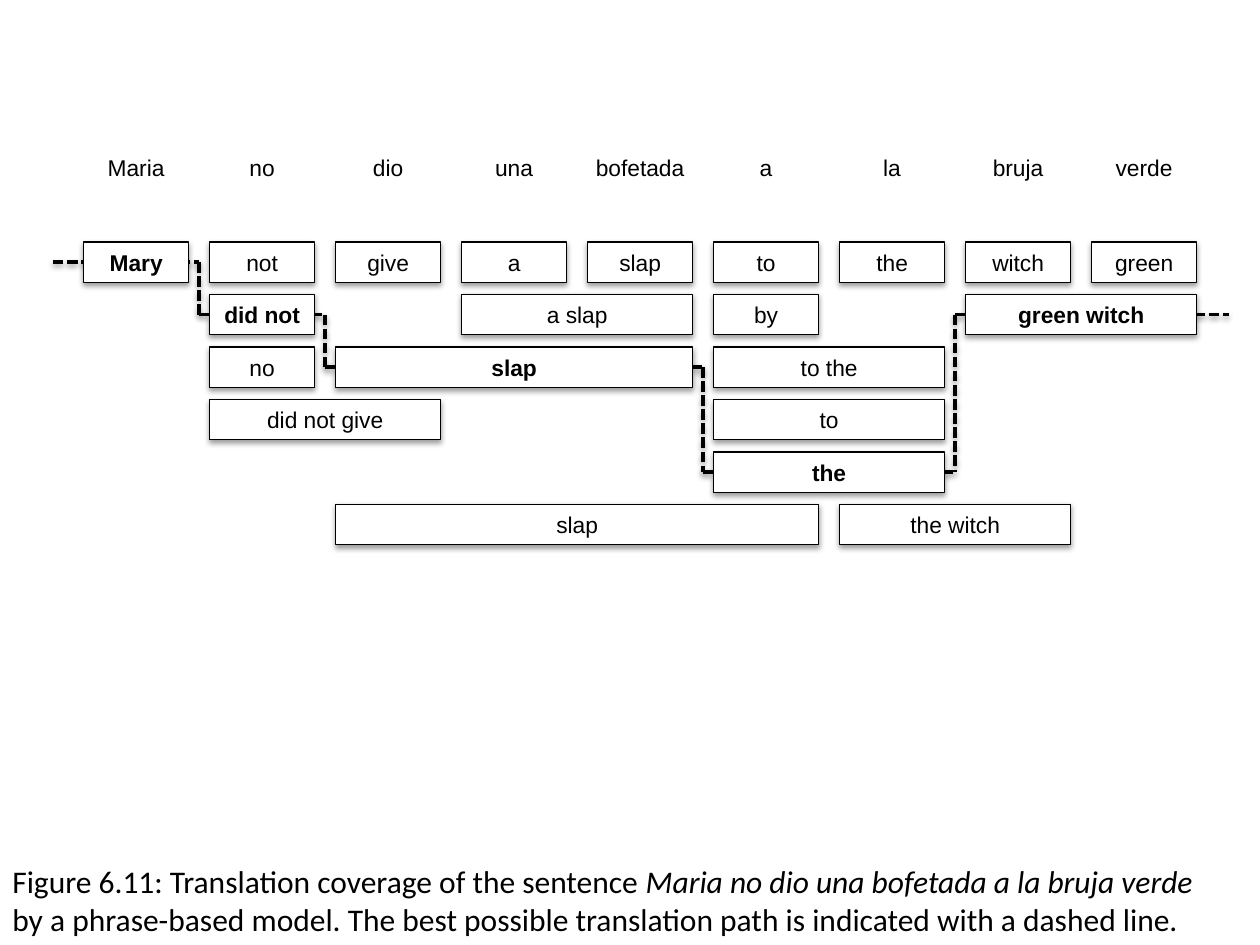
import itertools
from dataclasses import dataclass

import pptx
import pptx.dml.color
import pptx.enum.dml
import pptx.enum.shapes
import pptx.enum.text
import pptx.oxml
import pptx.oxml.ns
import pptx.util


@dataclass(frozen=True)
class Theme:
    ink: str = "000000"
    paper: str = "FFFFFF"
    word_font: str = "Arial"
    caption_font: str = "Calibri"
    word_size: float = 13
    caption_size: float = 18
    border: float = 0.75
    path_width: float = 2


SHADOW = (
    f'<a:effectLst {pptx.oxml.ns.nsdecls("a")}>'
    '<a:outerShdw blurRad="40000" dist="20000" dir="5400000" rotWithShape="0">'
    '<a:srgbClr val="000000"><a:alpha val="38000"/></a:srgbClr>'
    '</a:outerShdw></a:effectLst>'
)


class CoverageSlide:
    """Grid of one-inch word columns and evenly spaced translation rows."""

    LEFT, TOP = 0.58, 1.92
    COLUMN, ROW = 1, 5 / 12
    GAP = 1 / 12
    BOX_HEIGHT = 0.32

    def __init__(self, deck, theme):
        self.theme = theme
        self.page = deck.slides.add_slide(deck.slide_layouts[6])

    def color(self, name):
        return pptx.dml.color.RGBColor.from_string(getattr(self.theme, name))

    def x(self, column):
        return pptx.util.Inches(self.LEFT + column * self.COLUMN)

    def y(self, row):
        return pptx.util.Inches(self.TOP + row * self.ROW)

    def shade(self, element):
        element._element.spPr.append(pptx.oxml.parse_xml(SHADOW))

    def outline(self, element, width):
        element.line.color.rgb = self.color("ink")
        element.line.width = pptx.util.Pt(width)

    def set_text(self, box, lines, font, size, align, wrap=True):
        """Each line is a list of (text, format values) spans."""
        frame = box.text_frame
        frame.word_wrap = wrap
        frame.auto_size = pptx.enum.text.MSO_AUTO_SIZE.SHAPE_TO_FIT_TEXT
        for number, line in enumerate(lines):
            para = frame.add_paragraph() if number else frame.paragraphs[0]
            para.alignment = align
            for text, extra in line:
                span = para.add_run()
                span.text = text
                values = {"name": font, "size": pptx.util.Pt(size), **extra}
                for key, value in values.items():
                    setattr(span.font, key, value)
                span.font.color.rgb = self.color("ink")

    def set_word(self, box, text, bold=False):
        self.set_text(box, [[(text, {"bold": bold})]], self.theme.word_font,
                      self.theme.word_size, pptx.enum.text.PP_ALIGN.CENTER)

    def source_word(self, column, text):
        box = self.page.shapes.add_textbox(
            self.x(column), pptx.util.Inches(1.17),
            pptx.util.Inches(self.COLUMN), pptx.util.Inches(self.BOX_HEIGHT))
        self.set_word(box, text)

    def phrase(self, row, column, columns, text, bold=False):
        box = self.page.shapes.add_shape(
            pptx.enum.shapes.MSO_SHAPE.RECTANGLE,
            self.x(column + self.GAP), self.y(row),
            pptx.util.Inches(columns * self.COLUMN - 2 * self.GAP),
            pptx.util.Inches(self.BOX_HEIGHT))
        box.fill.solid()
        box.fill.fore_color.rgb = self.color("paper")
        self.outline(box, self.theme.border)
        self.shade(box)
        self.set_word(box, text, bold)

    def path_segment(self, start, end):
        """Points are (column, row), at mid-height of the row's boxes."""
        middle = self.BOX_HEIGHT / 2 / self.ROW
        line = self.page.shapes.add_connector(
            pptx.enum.shapes.MSO_CONNECTOR.STRAIGHT,
            self.x(start[0]), self.y(start[1] + middle),
            self.x(end[0]), self.y(end[1] + middle))
        self.outline(line, self.theme.path_width)
        line.line.dash_style = pptx.enum.dml.MSO_LINE.SQUARE_DOT
        self.shade(line)

    def caption(self, lines):
        box = self.page.shapes.add_textbox(
            0, pptx.util.Inches(6.79), pptx.util.Inches(9.67), pptx.util.Inches(0.71))
        self.set_text(box, lines, self.theme.caption_font, self.theme.caption_size,
                      pptx.enum.text.PP_ALIGN.LEFT, wrap=False)


SENTENCE = "Maria no dio una bofetada a la bruja verde"
WORD_BY_WORD = "Mary not give a slap to the witch green"

# Row, first column, columns covered, text, on the best path
PHRASES = [
    (1, 1, 1, "did not", True),
    (2, 1, 1, "no", False),
    (3, 1, 2, "did not give", False),
    (2, 2, 3, "slap", True),
    (1, 3, 2, "a slap", False),
    (1, 5, 1, "by", False),
    (2, 5, 2, "to the", False),
    (3, 5, 2, "to", False),
    (4, 5, 2, "the", True),
    (1, 7, 2, "green witch", True),
    (5, 6, 2, "the witch", False),
    (5, 2, 4, "slap", False),
]

# Corners of the best path as (column, row)
BEST_PATH = [(-0.16, 0), (1, 0), (1, 1), (2, 1), (2, 2), (5, 2),
             (5, 4), (7, 4), (7, 1), (9.17, 1)]


def main():
    deck = pptx.Presentation()
    deck.slide_width = pptx.util.Inches(10)
    deck.slide_height = pptx.util.Inches(7.5)
    slide = CoverageSlide(deck, Theme())

    # Dashed path, behind the boxes; upright parts run downwards
    for start, end in itertools.pairwise(BEST_PATH):
        slide.path_segment(*sorted((start, end)))

    # Source sentence
    for column, word in enumerate(SENTENCE.split()):
        slide.source_word(column, word)

    # Translation options
    for column, word in enumerate(WORD_BY_WORD.split()):
        slide.phrase(0, column, 1, word, bold=column == 0)
    for phrase in PHRASES:
        slide.phrase(*phrase)

    # Caption
    slide.caption([
        [("Figure 6.11: Translation coverage of the sentence ", {}),
         (SENTENCE, {"italic": True})],
        [("by a phrase-based model. The best possible translation path "
          "is indicated with a dashed line.", {})],
    ])
    deck.save("out.pptx")


if __name__ == "__main__":
    main()
